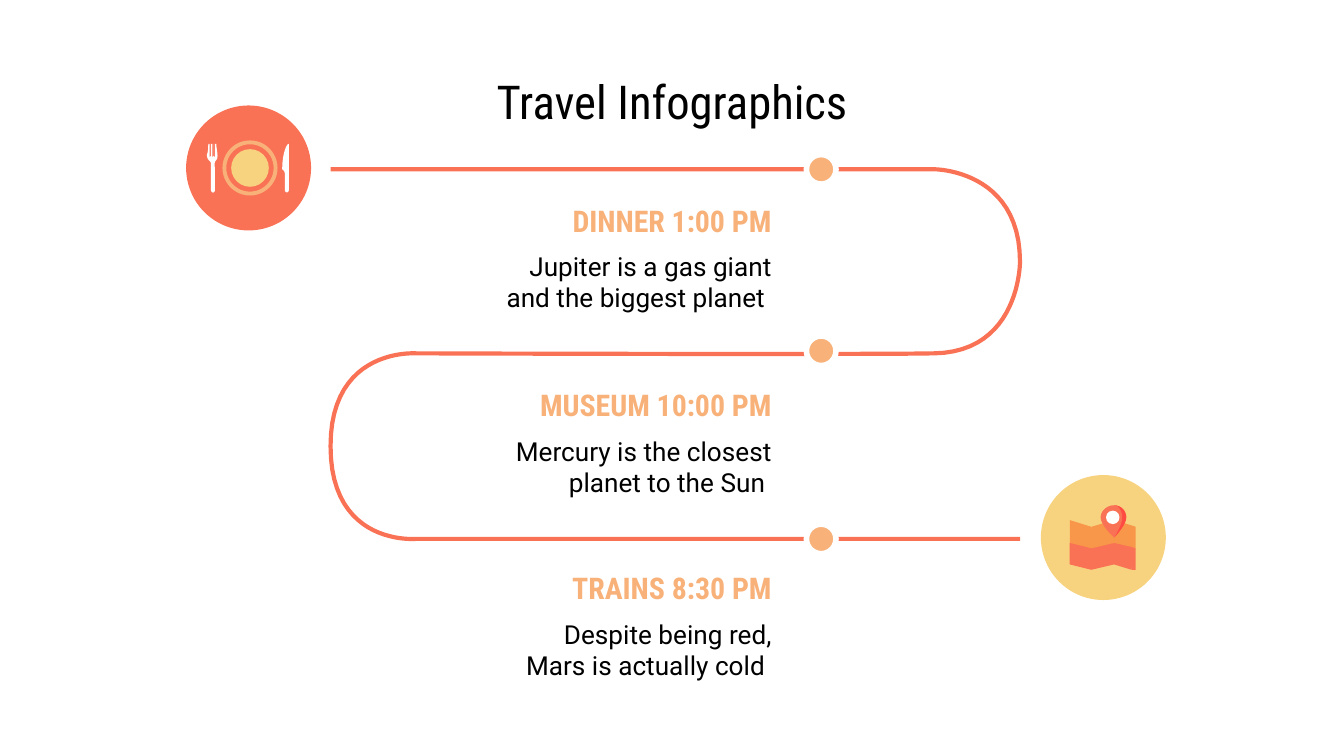
from dataclasses import dataclass

from pptx import Presentation
from pptx.dml.color import RGBColor
from pptx.enum.shapes import MSO_SHAPE
from pptx.enum.text import MSO_ANCHOR, PP_ALIGN
from pptx.util import Inches, Pt


@dataclass(frozen=True)
class Theme:
    coral: str = "FA7256"
    red: str = "FF4B41"
    orange: str = "F89649"
    peach: str = "F8B179"
    yellow: str = "F7D380"
    white: str = "FFFFFF"
    black: str = "000000"
    heading_font: str = "Roboto Condensed"
    body_font: str = "Roboto"
    title_size: float = 25
    heading_size: float = 16
    body_size: float = 14
    route_width: float = 2.25
    stop_border: float = 3


def bezier(start, curve, steps=24):
    """Points along a cubic curve given as (x1, y1, x2, y2, x, y)."""
    x1, y1, x2, y2, x3, y3 = curve
    points = []
    for step in range(1, steps + 1):
        t = step / steps
        weights = ((1 - t) ** 3, 3 * t * (1 - t) ** 2, 3 * t * t * (1 - t), t ** 3)
        points.append((
            sum(w * x for w, x in zip(weights, (start[0], x1, x2, x3))),
            sum(w * y for w, y in zip(weights, (start[1], y1, y2, y3))),
        ))
    return points


class SlideBuilder:
    def __init__(self, slide, theme):
        self.slide = slide
        self.theme = theme
        self.shapes = slide.shapes

    def start_group(self):
        self.shapes = self.slide.shapes.add_group_shape().shapes

    def end_group(self):
        self.shapes = self.slide.shapes

    def paint(self, shape, fill=None, line=None, width=0):
        shape.shadow.inherit = False
        for part, color in ((shape.fill, fill), (shape.line.fill, line)):
            if color:
                part.solid()
                part.fore_color.rgb = RGBColor.from_string(color)
            else:
                part.background()
        if line:
            shape.line.width = Pt(width)
        return shape

    def circle(self, x, y, diameter, fill, line=None, width=0, kind=MSO_SHAPE.OVAL):
        """Round shape centred on x, y."""
        left, top = x - diameter / 2, y - diameter / 2
        shape = self.shapes.add_shape(
            kind, Inches(left), Inches(top), Inches(diameter), Inches(diameter))
        return self.paint(shape, fill, line, width)

    def outline(self, segments, fill=None, line=None, width=0):
        """Path from points (2 numbers) and cubic curves (6 numbers)."""
        points = [segments[0]]
        for segment in segments[1:]:
            points += [segment] if len(segment) == 2 else bezier(points[-1], segment)
        corners = [(Inches(x), Inches(y)) for x, y in points]
        builder = self.shapes.build_freeform(*corners[0])
        builder.add_line_segments(corners[1:], close=fill is not None)
        return self.paint(builder.convert_to_shape(), fill, line, width)

    def text(self, words, left, top, width, height, font, size, color,
             bold=False, align=PP_ALIGN.RIGHT, anchor=MSO_ANCHOR.TOP):
        box = self.shapes.add_textbox(
            Inches(left), Inches(top), Inches(width), Inches(height))
        frame = box.text_frame
        frame.word_wrap = True
        frame.vertical_anchor = anchor
        frame.margin_left = frame.margin_right = Inches(0.1)
        frame.margin_top = frame.margin_bottom = Inches(0.1)
        paragraph = frame.paragraphs[0]
        paragraph.text = words
        paragraph.alignment = align
        paragraph.font.name = font
        paragraph.font.size = Pt(size)
        paragraph.font.bold = bold
        paragraph.font.color.rgb = RGBColor.from_string(color)

    def stop(self, heading, heading_top, body, body_top, body_height):
        theme = self.theme
        self.text(heading, 3.62, heading_top, 2.22, 0.37,
                  theme.heading_font, theme.heading_size, theme.peach, bold=True)
        self.text(body, 3.62, body_top, 2.22, body_height,
                  theme.body_font, theme.body_size, theme.black)


def main():
    # Widescreen 16:9 slide
    presentation = Presentation()
    presentation.slide_width = Inches(10)
    presentation.slide_height = Inches(10) * 9 // 16
    theme = Theme()
    builder = SlideBuilder(
        presentation.slides.add_slide(presentation.slide_layouts[6]), theme)

    # Winding route
    builder.outline([
        (2.46, 1.26), (6.95, 1.26),
        (6.95, 1.26, 7.59, 1.26, 7.59, 1.95),
        (7.59, 1.95, 7.59, 2.62, 6.95, 2.63),
        (6.38, 2.64, 3.1, 2.63, 3.1, 2.63),
        (3.1, 2.63, 2.46, 2.58, 2.46, 3.32),
        (2.46, 4.07, 3.1, 4.01, 3.1, 4.01), (7.59, 4.01),
    ], line=theme.coral, width=theme.route_width)

    # Title
    builder.text("Travel Infographics", 0.5, 0.49, 9, 0.57,
                 theme.heading_font, theme.title_size, theme.black,
                 align=PP_ALIGN.CENTER, anchor=MSO_ANCHOR.BOTTOM)

    # Stop descriptions
    builder.stop("DINNER 1:00 PM", 1.41,
                 "Jupiter is a gas giant and the biggest planet ", 1.76, 0.55)
    builder.stop("MUSEUM 10:00 PM", 2.78,
                 "Mercury is the closest planet to the Sun ", 3.14, 0.61)
    builder.stop("TRAINS 8:30 PM", 4.14,
                 "Despite being red, Mars is actually cold ", 4.5, 0.6)

    # Stop markers
    for y in (1.26, 2.61, 4.01):
        builder.circle(6.11, y, 0.22, theme.peach, theme.white, theme.stop_border)

    # Map icon: disc, folded panels, pin
    builder.start_group()
    builder.circle(8.21, 4, 0.93, theme.yellow)
    panels = (
        (theme.orange, [(7.96, 3.87), (7.96, 4.04), (8.17, 4.14), (8.12, 3.92)]),
        (theme.coral, [(7.96, 4.04), (7.96, 4.2), (8.12, 4.24), (8.16, 4.16),
                       (8.12, 4.08)]),
        (theme.coral, [(8.39, 4.04), (8.42, 4.24), (8.45, 4.24), (8.45, 4.08)]),
        (theme.coral, [(8.24, 3.99), (8.29, 4.2), (8.42, 4.24), (8.42, 4.07)]),
        (theme.coral, [(8.2, 4.03), (8.12, 4.08), (8.12, 4.24), (8.29, 4.2),
                       (8.29, 4.04)]),
        (theme.orange, [(8.42, 3.91), (8.39, 3.99), (8.42, 4.07), (8.45, 4.08),
                        (8.45, 3.92)]),
        (theme.orange, [(8.29, 3.87), (8.25, 3.95), (8.29, 4.04), (8.42, 4.07),
                        (8.42, 3.91)]),
        (theme.orange, [(8.29, 3.87), (8.12, 3.92), (8.12, 4.08), (8.29, 4.04)]),
    )
    for color, corners in panels:
        builder.outline(corners, color)
    builder.outline([(8.29, 3.76), (8.29, 4), (8.29, 4, 8.38, 3.91, 8.38, 3.85),
                     (8.38, 3.8, 8.34, 3.76, 8.29, 3.76)], theme.red)
    builder.outline([(8.29, 3.76), (8.24, 3.76, 8.19, 3.8, 8.19, 3.85),
                     (8.19, 3.91, 8.29, 4, 8.29, 4),
                     (8.29, 4, 8.35, 3.91, 8.35, 3.85),
                     (8.35, 3.8, 8.32, 3.76, 8.29, 3.76)], theme.coral)
    builder.circle(8.28, 3.85, 0.1, theme.white)
    builder.end_group()

    # Dinner icon: disc, plate, fork, knife
    builder.circle(1.85, 1.25, 0.93, theme.coral)
    builder.start_group()
    rim = builder.circle(1.86, 1.25, 0.41, theme.peach, kind=MSO_SHAPE.DONUT)
    rim.adjustments[0] = 0.07
    builder.circle(1.86, 1.25, 0.28, theme.yellow)
    builder.outline([
        (1.55, 1.07), (1.55, 1.08, 1.55, 1.13, 1.54, 1.15),
        (1.54, 1.2, 1.57, 1.19, 1.57, 1.22), (1.57, 1.41),
        (1.57, 1.44, 1.6, 1.44, 1.6, 1.41), (1.6, 1.28),
        (1.6, 1.23, 1.59, 1.21, 1.61, 1.19), (1.63, 1.17, 1.61, 1.11, 1.61, 1.07),
        (1.6, 1.07), (1.6, 1.17), (1.59, 1.16), (1.59, 1.07),
        (1.59, 1.16), (1.58, 1.17), (1.58, 1.07),
        (1.57, 1.07), (1.57, 1.16), (1.56, 1.17), (1.56, 1.07),
    ], theme.white)
    builder.outline([
        (2.15, 1.07), (2.13, 1.07, 2.1, 1.15, 2.1, 1.26),
        (2.12, 1.27, 2.12, 1.29, 2.12, 1.32), (2.12, 1.42),
        (2.13, 1.44, 2.15, 1.43, 2.15, 1.41),
    ], theme.white)
    builder.end_group()

    presentation.save("out.pptx")


if __name__ == "__main__":
    main()
